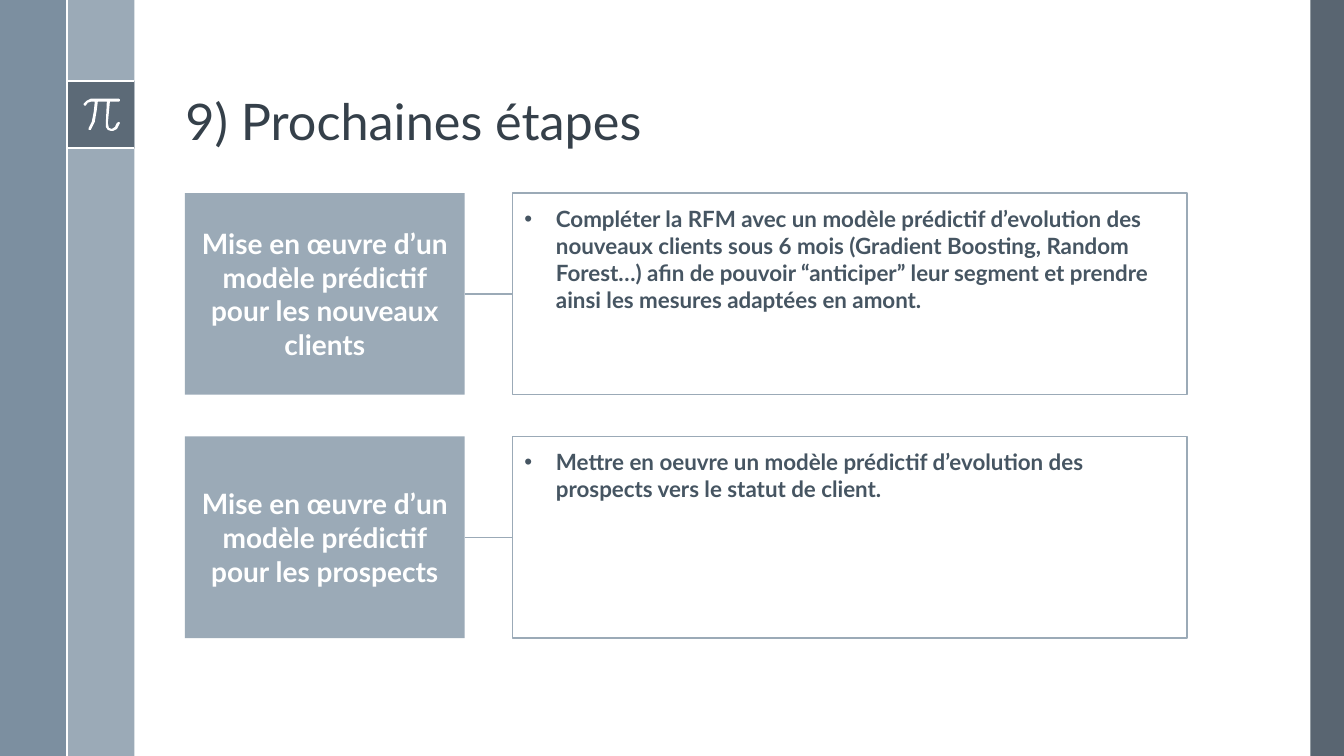
import pptx
import pptx.util
import pptx.dml.color
import pptx.enum.shapes
import pptx.enum.text
import pptx.oxml.ns
from lxml import etree

Pt = pptx.util.Pt
SHAPES = pptx.enum.shapes.MSO_SHAPE
ANCHOR = pptx.enum.text.MSO_ANCHOR
ALIGN = pptx.enum.text.PP_ALIGN

COLOURS = {
    "white": "FFFFFF", "pale": "9BAAB7", "mid": "6A8093",
    "dark": "475562", "title": "35404A", "body": "465562",
}
FORMATS = {
    "title": {"size": Pt(36), "bold": False},
    "label": {"size": Pt(20), "bold": True},
    "body": {"size": Pt(16), "bold": True},
}
WIDTH, HEIGHT = 960, 540
BAND = 48
STEPS = [
    ("Mise en œuvre d’un modèle prédictif pour les nouveaux clients",
     "Compléter la RFM avec un modèle prédictif d’evolution des nouveaux clients "
     "sous 6 mois (Gradient Boosting, Random Forest…) afin de pouvoir “anticiper” "
     "leur segment et prendre ainsi les mesures adaptées en amont."),
    ("Mise en œuvre d’un modèle prédictif pour les prospects",
     "Mettre en oeuvre un modèle prédictif d’evolution des prospects vers le "
     "statut de client."),
]
# Outline of the pi sign, in hundredths of an inch
PI_OUTLINE = [
    (35, 0), (7, 0), (3, 1.5), (0.5, 5), (0, 6), (1, 7), (2, 7), (3.5, 4.5),
    (7, 3), (11, 3), (10, 13), (8, 23), (5, 29), (5, 31), (6, 31), (7, 31),
    (11, 23), (13, 11), (14, 3), (23, 3), (22, 24), (22, 28), (24, 31),
    (27, 32), (29, 32), (33, 30), (36, 24), (35, 23), (33, 24), (31, 28),
    (28, 30), (25, 29), (24, 24), (26, 3), (35, 3), (36, 2), (36, 1),
]


def colour(name):
    return pptx.dml.color.RGBColor.from_string(COLOURS[name])


def add_child(parent, tag, **attributes):
    child = etree.SubElement(parent, pptx.oxml.ns.qn(tag))
    for key, value in attributes.items():
        child.set(key, value)
    return child


def paint(shape, fill=None, line=None, opacity=100):
    """Set fill, outline and opacity in percent, without a shadow."""
    shape.shadow.inherit = False
    if fill:
        shape.fill.solid()
        shape.fill.fore_color.rgb = colour(fill)
        if opacity < 100:
            tint = shape.fill._xPr.find(".//" + pptx.oxml.ns.qn("a:srgbClr"))
            add_child(tint, "a:alpha", val=str(opacity * 1000))
    else:
        shape.fill.background()
    if line:
        shape.line.color.rgb = colour(line)
        shape.line.width = Pt(1)
    else:
        shape.line.fill.background()


def add_rectangle(page, left, top, width, height, **look):
    shape = page.shapes.add_shape(
        SHAPES.RECTANGLE, Pt(left), Pt(top), Pt(width), Pt(height))
    paint(shape, **look)
    return shape


def add_line(page, x1, y1, x2, y2, name, weight):
    line = page.shapes.add_connector(
        pptx.enum.shapes.MSO_CONNECTOR.STRAIGHT, Pt(x1), Pt(y1), Pt(x2), Pt(y2))
    line.line.color.rgb = colour(name)
    line.line.width = Pt(weight)
    add_child(line._element.spPr, "a:effectLst")
    return line


def write(shape, text, style, text_colour, anchor, align=ALIGN.LEFT, bullet=False):
    frame = shape.text_frame
    frame.word_wrap = True
    frame.vertical_anchor = anchor
    para = frame.paragraphs[0]
    para.alignment = align
    if bullet:
        properties = para._p.get_or_add_pPr()
        properties.set("marL", str(Pt(22.5)))
        properties.set("indent", str(-Pt(22.5)))
        add_child(properties, "a:buFont", typeface="Arial")
        add_child(properties, "a:buChar", char="•")
    span = para.add_run()
    span.text = text
    span.font.name = "Lato"
    span.font.color.rgb = colour(text_colour)
    for key, value in FORMATS[style].items():
        setattr(span.font, key, value)
    return frame


def add_pi_badge(page, left, top, size):
    add_rectangle(page, left, top, size, size, fill="dark", opacity=75)
    for y in (top, top + size):
        add_line(page, left, y, left + size, y, "white", 1.5)
    builder = page.shapes.build_freeform(*PI_OUTLINE[0], scale=Pt(0.72))
    builder.add_line_segments(PI_OUTLINE[1:], close=True)
    paint(builder.convert_to_shape(Pt(left + 11.8), Pt(top + 12.5)), fill="white")


def add_side_bands(page):
    add_rectangle(page, WIDTH - 24, 0, 24, HEIGHT, fill="dark", opacity=90)
    add_rectangle(page, BAND, 0, BAND, HEIGHT, fill="pale")
    add_rectangle(page, 0, 0, BAND, HEIGHT, fill="mid", opacity=88)
    add_pi_badge(page, BAND, 58, BAND)
    add_line(page, BAND, 0, BAND, HEIGHT, "white", 1.5)


def add_title(page, left, top, width, height, text):
    box = page.shapes.add_textbox(Pt(left), Pt(top), Pt(width), Pt(height))
    frame = write(box, text, "title", "title", ANCHOR.BOTTOM)
    frame.paragraphs[0].line_spacing = 0.9


def add_step(page, left, top, width, height, label, detail):
    """Filled label joined by a line to an outlined box of detail."""
    label_width, gap = 200, 34
    detail_left = left + label_width + gap
    detail_box = add_rectangle(
        page, detail_left, top, width - label_width - gap, height, line="pale")
    frame = write(detail_box, detail, "body", "body", ANCHOR.TOP, bullet=True)
    for side in ("left", "top", "right", "bottom"):
        setattr(frame, "margin_" + side, Pt(8.64))
    label_box = add_rectangle(page, left, top, label_width, height, fill="pale")
    write(label_box, label, "label", "white", ANCHOR.MIDDLE, ALIGN.CENTER)
    middle = top + height / 2
    link = add_line(page, left + label_width, middle, detail_left, middle, "pale", 1)
    link.begin_connect(label_box, 3)
    link.end_connect(detail_box, 1)


def main():
    deck = pptx.Presentation()
    deck.slide_width, deck.slide_height = Pt(WIDTH), Pt(HEIGHT)
    page = deck.slides.add_slide(deck.slide_layouts[6])
    add_side_bands(page)
    add_title(page, 125.3, 13.7, 770, 98, "9) Prochaines étapes")
    for row, (label, detail) in enumerate(STEPS):
        add_step(page, 132, 138 + 173.8 * row, 716, 144, label, detail)
    deck.save("out.pptx")


if __name__ == "__main__":
    main()
